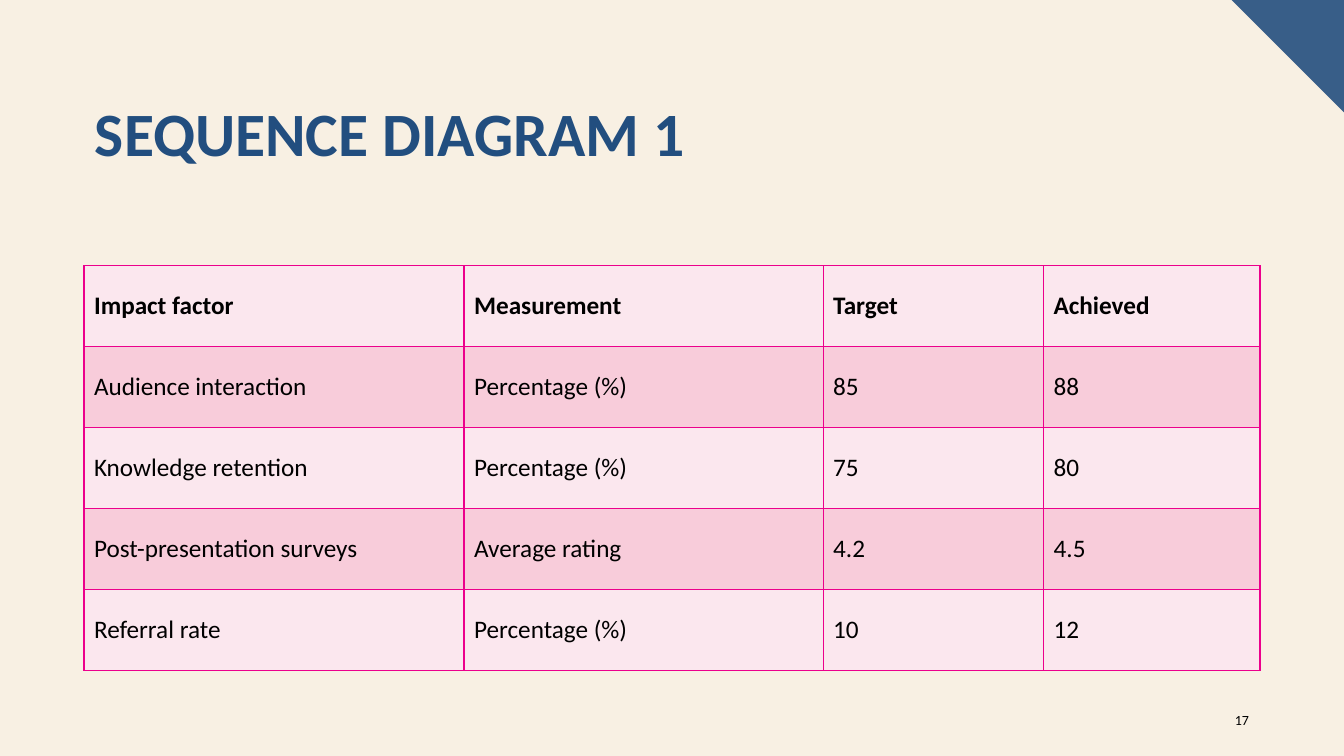
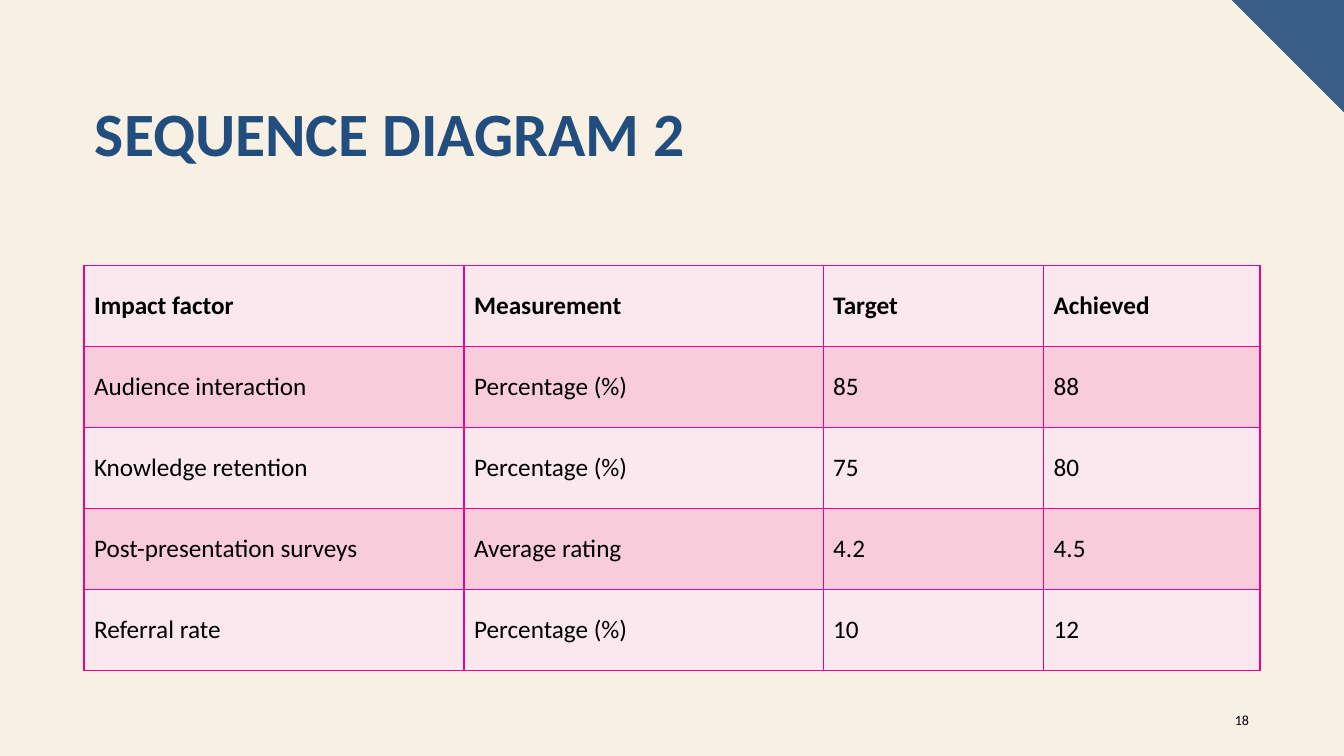
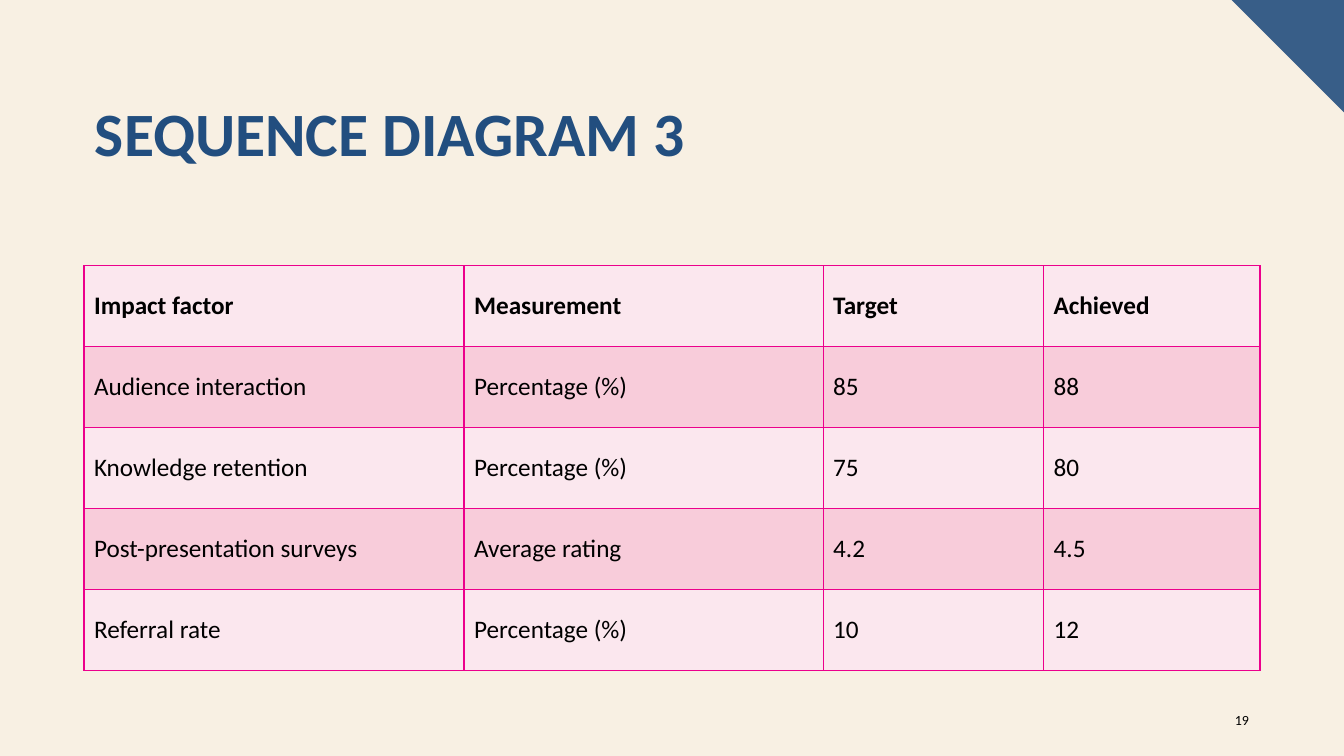
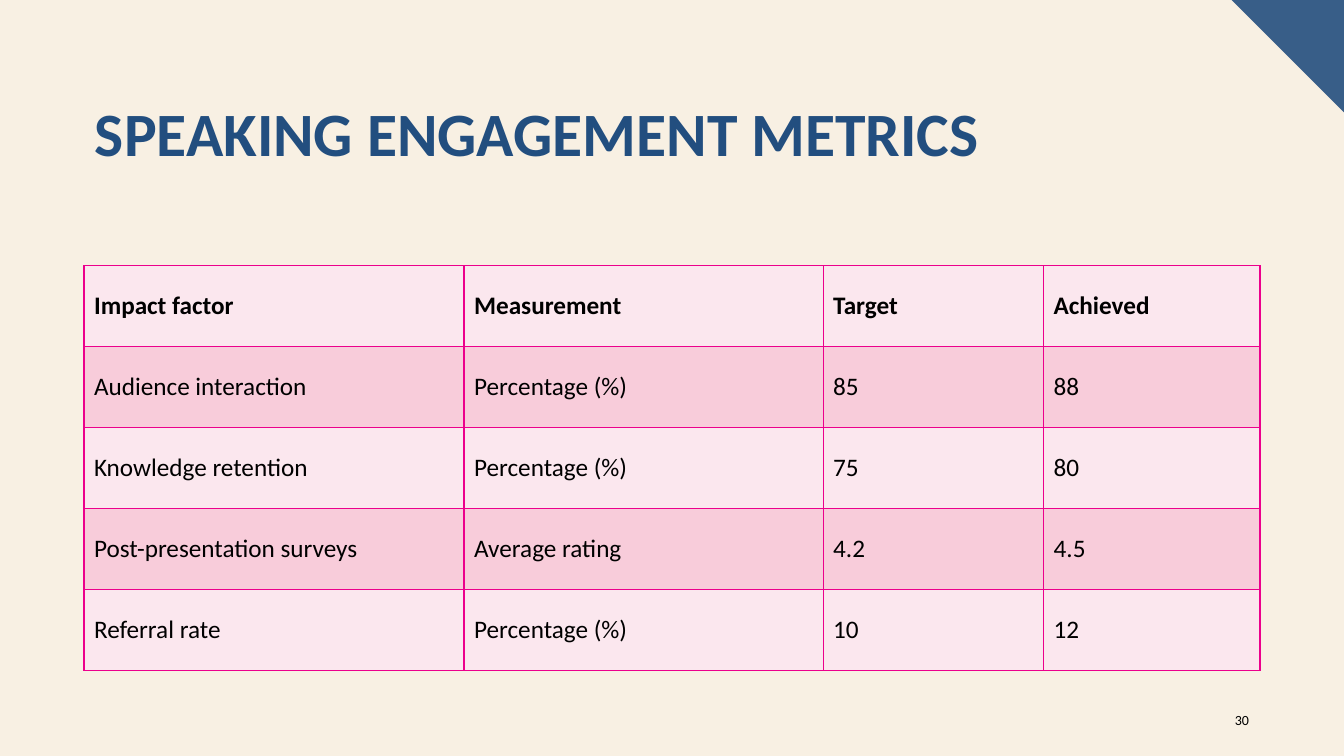
from dataclasses import dataclass

from lxml.etree import SubElement
from pptx import Presentation
from pptx.dml.color import RGBColor
from pptx.enum.text import MSO_ANCHOR as Anchor, PP_ALIGN as Align
from pptx.oxml.ns import qn
from pptx.util import Emu, Pt

EMU_PER_PX = 9525
SLIDE_WIDTH, SLIDE_HEIGHT = 1280, 720
CORNER_BOX = (1173, 0, 107, 107)
TITLE_BOX = (81, 94, 1119, 139)
TABLE_BOX = (80, 253, 1120, 386)
NUMBER_BOX = (1151, 667, 48, 38)
COLUMN_WIDTHS = (362, 342, 210, 206)

METRICS = (
    ("Impact factor", "Measurement", "Target", "Achieved"),
    ("Audience interaction", "Percentage (%)", "85", "88"),
    ("Knowledge retention", "Percentage (%)", "75", "80"),
    ("Post-presentation surveys", "Average rating", "4.2", "4.5"),
    ("Referral rate", "Percentage (%)", "10", "12"),
)
SLIDES = (
    ("SEQUENCE DIAGRAM 1", 17),
    ("SEQUENCE DIAGRAM 2", 18),
    ("SEQUENCE DIAGRAM 3", 19),
    ("SPEAKING ENGAGEMENT METRICS", 30),
)


@dataclass(frozen=True)
class Theme:
    """Colours, font and type sizes shared by all slides."""

    font: str = "Calibri"
    background: str = "F8F0E3"
    corner: str = "385E88"
    title: str = "224E7F"
    text: str = "000000"
    border: str = "EC008C"
    bands: tuple = ("FBE7EE", "F8CCDA")
    title_size: int = 44
    table_size: int = 18
    number_size: int = 10
    border_width: int = 1


THEME = Theme()


def px(length):
    """Turn pixels into EMU."""
    return Emu(length * EMU_PER_PX)


def paint(fill, color):
    """Give a fill one solid colour."""
    fill.solid()
    fill.fore_color.rgb = RGBColor.from_string(color)


def style(paragraph, size, color, bold=False):
    """Set the font of a whole paragraph."""
    font = paragraph.font
    font.name, font.size, font.bold = THEME.font, Pt(size), bold
    font.color.rgb = RGBColor.from_string(color)


def add_text(slide, box, text, anchor):
    """Add a wrapping text box and return its paragraph."""
    frame = slide.shapes.add_textbox(*map(px, box)).text_frame
    frame.word_wrap = True
    frame.vertical_anchor = anchor
    frame.text = text
    return frame.paragraphs[0]


def add_corner(slide, box):
    """Draw the triangle that fills the top right half of its box."""
    left, top, width, height = box
    right, bottom = left + width, top + height
    builder = slide.shapes.build_freeform(left, top, scale=EMU_PER_PX)
    builder.add_line_segments([(right, top), (right, bottom)])
    shape = builder.convert_to_shape()
    shape.shadow.inherit = False
    paint(shape.fill, THEME.corner)
    shape.line.fill.background()


def add_title(slide, box, text):
    """Place the slide title."""
    paragraph = add_text(slide, box, text, Anchor.TOP)
    paragraph.line_spacing = 0.9
    style(paragraph, THEME.title_size, THEME.title, bold=True)


def add_number(slide, box, number):
    """Place the slide number."""
    paragraph = add_text(slide, box, str(number), Anchor.MIDDLE)
    paragraph.alignment = Align.RIGHT
    style(paragraph, THEME.number_size, THEME.text)


def add_borders(cell):
    """Outline the four sides of a cell."""
    properties = cell._tc.get_or_add_tcPr()
    for side in ("lnL", "lnR", "lnT", "lnB"):
        line = SubElement(properties, qn(f"a:{side}"), w=str(Pt(THEME.border_width)))
        fill = SubElement(line, qn("a:solidFill"))
        SubElement(fill, qn("a:srgbClr"), val=THEME.border)


def add_metrics_table(slide, box, rows):
    """Build the banded metrics table with a bold first row."""
    frame = slide.shapes.add_table(len(rows), len(COLUMN_WIDTHS), *map(px, box))
    table = frame.table
    table.first_row = table.horz_banding = False
    for column, width in zip(table.columns, COLUMN_WIDTHS):
        column.width = px(width)
    for row_index, values in enumerate(rows):
        table.rows[row_index].height = Emu(px(box[3]) // len(rows))
        for column_index, value in enumerate(values):
            cell = table.cell(row_index, column_index)
            cell.text = value
            cell.vertical_anchor = Anchor.MIDDLE
            add_borders(cell)
            paint(cell.fill, THEME.bands[row_index % 2])
            style(cell.text_frame.paragraphs[0], THEME.table_size, THEME.text,
                  bold=row_index == 0)


def add_metrics_slide(presentation, title, number):
    """Add one slide with title, table and number."""
    slide = presentation.slides.add_slide(presentation.slide_layouts[6])
    add_corner(slide, CORNER_BOX)
    add_title(slide, TITLE_BOX, title)
    add_metrics_table(slide, TABLE_BOX, METRICS)
    add_number(slide, NUMBER_BOX, number)


def main():
    """Build and save the presentation."""
    presentation = Presentation()
    presentation.slide_width = px(SLIDE_WIDTH)
    presentation.slide_height = px(SLIDE_HEIGHT)
    paint(presentation.slide_master.background.fill, THEME.background)
    for title, number in SLIDES:
        add_metrics_slide(presentation, title, number)
    presentation.save("out.pptx")


if __name__ == "__main__":
    main()
